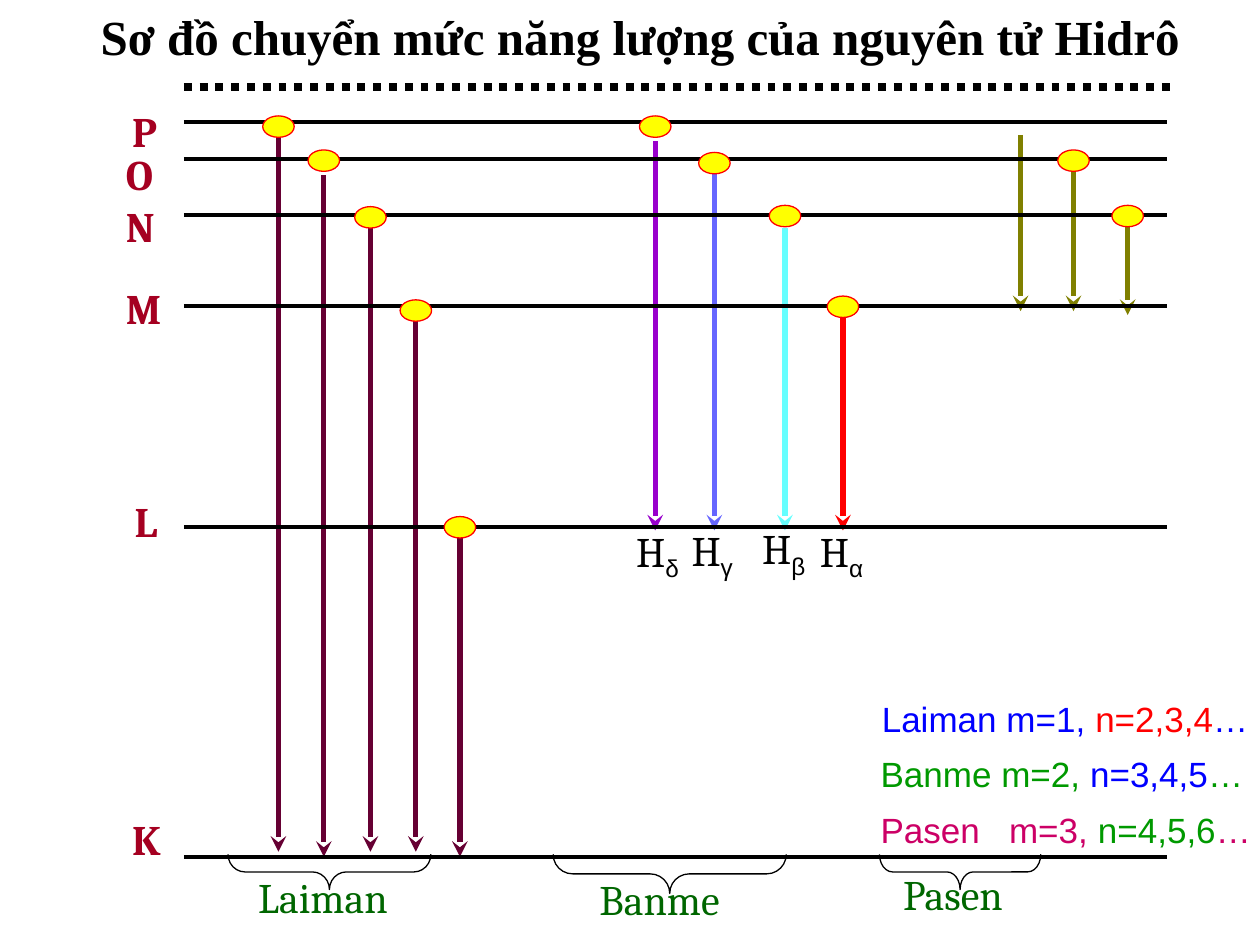
import pptx
import pptx.util
import pptx.dml.color
import pptx.enum.dml
import pptx.enum.shapes
import pptx.enum.text
import pptx.oxml.ns
import lxml.etree

Inches = pptx.util.Inches
Pt = pptx.util.Pt
Kind = pptx.enum.shapes.MSO_SHAPE

HUES = {
    "black": "000000", "plum": "660033", "violet": "9900CC", "indigo": "6666FF",
    "cyan": "66FFFF", "red": "FF0000", "olive": "808000", "forest": "006600",
    "wine": "A50021", "yellow": "FFFF00", "blue": "0000FF", "green": "009900",
    "pink": "CC0066",
}

TITLE = "Sơ đồ chuyển mức năng lượng của nguyên tử Hidrô"

# name, label left, label top, level
LEVELS = [
    ("K", 0.95, 6.41, 6.8),
    ("L", 0.97, 3.88, 4.18),
    ("M", 0.9, 2.19, 2.43),
    ("N", 0.9, 1.54, 1.71),
    ("O", 0.9, 1.13, 1.26),
    ("P", 0.95, 0.79, 0.97),
]

SERIES = [
    ("Laiman", 1.95, 6.87, 1.81, 1.61, 0.28, 0.48),
    ("Banme", 4.66, 6.88, 4.39, 1.85, 0.31, 0.5),
    ("Pasen", 7.07, 6.84, 6.98, 1.28, 0.28, 0.37),
]

JUMPS = [
    (2.21, 1.07, 6.76, "plum", 0.92),
    (2.57, 1.39, 6.8, "plum", 1.19),
    (2.94, 1.8, 6.76, "plum", 1.64),
    (3.3, 2.49, 6.76, "plum", 2.38),
    (3.65, 4.23, 6.8, "plum", 4.1),
    (5.2, 1.12, 4.21, "violet", 0.92),
    (5.67, 1.34, 4.21, "indigo", 1.21),
    (6.23, 1.81, 4.21, "cyan", 1.63),
    (6.69, 2.52, 4.21, "red", 2.35),
    (8.1, 1.07, 2.47, "olive", None),
    (8.52, 1.35, 2.47, "olive", 1.19),
    (8.95, 1.8, 2.5, "olive", 1.63),
]

LINES = [("α", 6.41, 4.12), ("β", 5.95, 4.1), ("γ", 5.39, 4.11), ("δ", 4.95, 4.12)]

RULES = [
    (6.9, 5.49, "Laiman m=1, ", "n=2,3,4", "blue", "red"),
    (6.89, 5.92, "Banme m=2, ", "n=3,4,5", "green", "blue"),
    (6.89, 6.37, "Pasen   m=3, ", "n=4,5,6", "pink", "green"),
]

START, END, DOTS = 1.46, 9.26, 9.31
BALL = (0.25, 0.17)
BASE = 6.78


def hue(name):
    return pptx.dml.color.RGBColor.from_string(HUES[name])


def style(font, size, face, tint, bold=False):
    font.size, font.name, font.bold = Pt(size), face, bold
    font.color.rgb = hue(tint)


def write(left, top, wide, high, parts, size, face, tint, bold=False, gap=15):
    box = slide.shapes.add_textbox(*map(Inches, (left, top, wide, high)))
    box.text_frame.word_wrap = True
    para = box.text_frame.paragraphs[0]
    para.space_before = Pt(gap)
    style(para.font, size, face, tint, bold)
    for part in parts:
        para.add_run().text = part
    return para


def stroke(x1, y1, x2, y2, tint, width):
    line = slide.shapes.add_connector(
        pptx.enum.shapes.MSO_CONNECTOR.STRAIGHT, *map(Inches, (x1, y1, x2, y2)))
    line.line.color.rgb = hue(tint)
    line.line.width = Pt(width)
    lxml.etree.SubElement(line._element.spPr, pptx.oxml.ns.qn("a:effectLst"))
    return line


def shape(kind, left, top, wide, high, tint):
    item = slide.shapes.add_shape(kind, *map(Inches, (left, top, wide, high)))
    item.shadow.inherit = False
    item.line.color.rgb = hue(tint)
    item.line.width = Pt(0.75)
    return item


deck = pptx.Presentation()
deck.slide_width, deck.slide_height = Inches(10), Inches(7.5)
slide = deck.slides.add_slide(deck.slide_layouts[5])

title = slide.shapes.title
title.left, title.top, title.width, title.height = map(Inches, (0.58, 0, 9, 0.57))
frame = title.text_frame
frame.text = TITLE
frame.word_wrap = True
frame.auto_size = pptx.enum.text.MSO_AUTO_SIZE.NONE
frame.vertical_anchor = pptx.enum.text.MSO_ANCHOR.TOP
head = frame.paragraphs[0]
head.alignment = pptx.enum.text.PP_ALIGN.CENTER
head.space_before = Pt(17.5)
style(head.font, 28, "Times New Roman", "black", True)

for name, left, top, start, span, depth, bend in SERIES:
    brace = shape(Kind.LEFT_BRACE, start + (span - depth) / 2,
                  BASE + (depth - span) / 2, depth, span, "black")
    brace.rotation = 270
    brace.adjustments[0] = bend
    brace.fill.background()
    write(left, top, 1.36, 0.84, [name], 24, "Cambria", "forest")

for x, top, foot, tint, ball in JUMPS:
    arrow = stroke(x, top, x, foot, tint, 3)
    lxml.etree.SubElement(arrow.line._get_or_add_ln(),
                          pptx.oxml.ns.qn("a:tailEnd"), type="stealth")

for name, left, top, level in LEVELS:
    write(left, top, 0.9, 0.84, [name], 24, "Cambria", "wine", True)
    stroke(START, level, END, level, "black", 2.25)

for sign, left, top in LINES:
    para = write(left, top, 0.9, 0.84, ["H", sign], 24, "Cambria", "black")
    sub = para.runs[1]
    sub.font.name = "Arial"
    sub.font._element.set("baseline", "-25000")

limit = stroke(START, 0.69, DOTS, 0.69, "black", 4.5)
limit.line.dash_style = pptx.enum.dml.MSO_LINE.ROUND_DOT

for x, top, foot, tint, ball in JUMPS:
    if ball is not None:
        dot = shape(Kind.OVAL, x - BALL[0] / 2, ball, *BALL, "red")
        dot.fill.solid()
        dot.fill.fore_color.rgb = hue("yellow")

for left, top, text, range_, main, tint in RULES:
    para = write(left, top, 3.58, 0.44, [text, range_, "…"], 20, "Arial", main, gap=12.5)
    para.runs[1].font.color.rgb = hue(tint)

deck.save("out.pptx")
